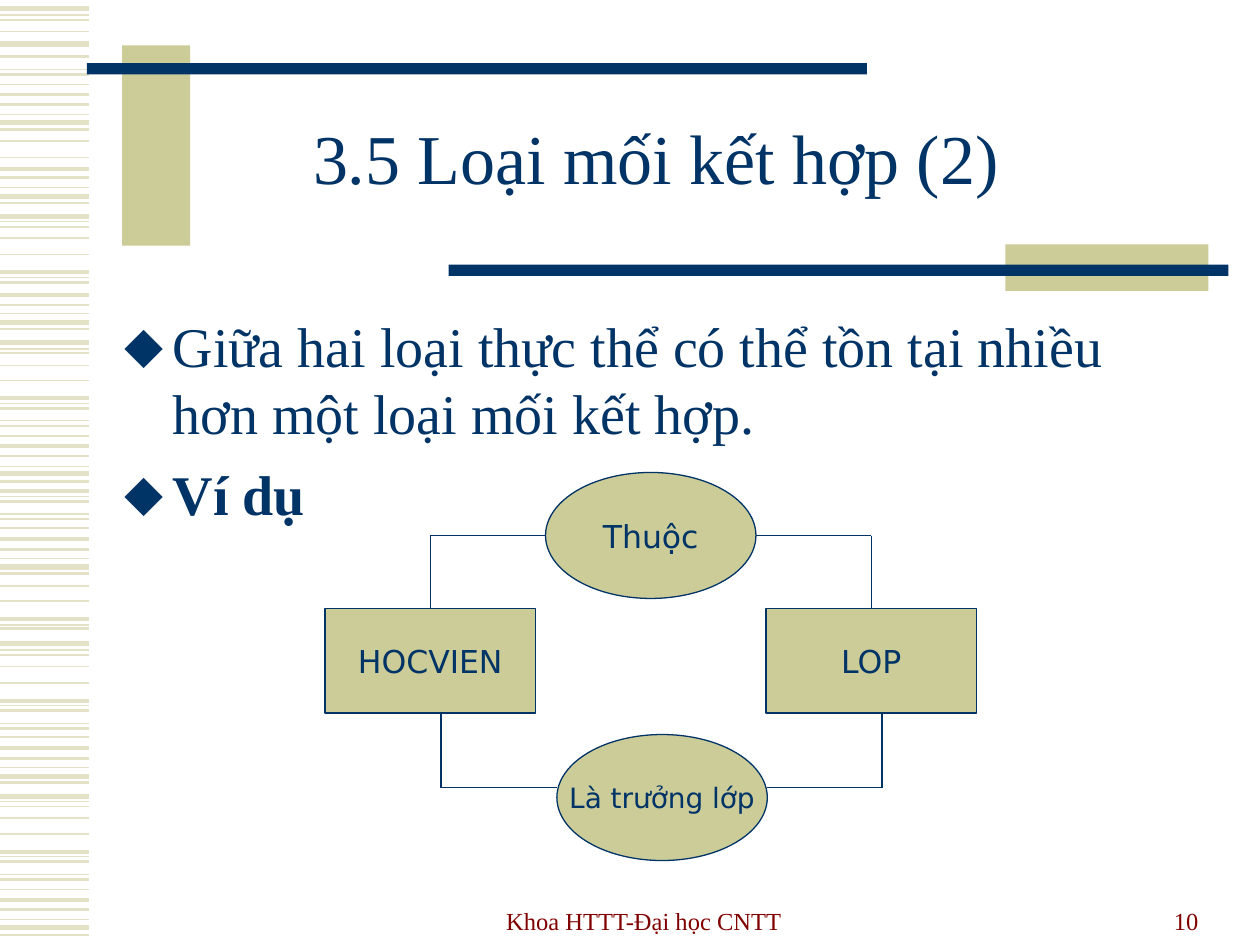
from lxml import etree
from pptx import Presentation
from pptx.dml.color import RGBColor
from pptx.enum import shapes, text
from pptx.oxml import ns
from pptx.util import Inches, Pt

COLORS = {"navy": "003366", "sand": "CCCC99", "stripe": "E3E2C7", "maroon": "800000"}
SERIF, SANS = "Times New Roman", "DejaVu Sans"

TITLE = "3.5 Loại mối kết hợp (2)"
BULLETS = [
    ("Giữa hai loại thực thể có thể tồn tại nhiều hơn một loại mối kết hợp.", False),
    ("Ví dụ", True),
]
FOOTERS = [
    ("Khoa HTTT-Đại học CNTT", (3.42, 6.97, 3.38, 0.5), text.PP_ALIGN.CENTER),
    ("10", (7.21, 6.97, 2.4, 0.5), text.PP_ALIGN.RIGHT),
]
STRIPES = {
    0.75: [0.12, 0.55, 0.91, 1.49, 1.76, 2.2, 2.49, 2.77, 3.2, 3.34, 3.7, 3.94, 4.08,
           4.43, 4.96, 5.16, 5.6, 5.74, 6.09, 6.36, 6.8, 6.94, 7.3],
    1: [0.16, 0.25, 0.67, 1.12, 1.25, 1.8, 1.89, 2.02, 2.8, 2.9, 3.02, 3.46, 4.19,
        4.65, 4.77, 5.2, 5.29, 5.42, 5.85, 6.4, 6.49, 6.62, 7.06],
    1.5: [0.45, 0.59, 0.83, 1.03, 1.41, 1.61, 2.24, 2.42, 2.61, 3.24, 3.38, 3.62, 3.82,
          3.98, 4.12, 4.36, 4.55, 4.99, 5.64, 5.78, 6.02, 6.21, 6.84, 6.98, 7.22, 7.42],
    2.25: [0.75, 1.34, 2.16, 2.34, 3.16, 3.54, 3.9, 4.28, 4.91, 5.56, 5.94, 6.76, 7.14],
    3: [0.07, 0.35, 0.97, 1.56, 1.72, 2.56, 2.72, 3.76, 4.5, 5.11, 6.16, 6.32, 7.36],
}
STRIPE_LENGTH = 0.71
BARS = [
    ((0.97, 0.36, 0.54, 1.59), "sand"),
    ((0.69, 0.5, 6.19, 0.09), "navy"),
    ((7.98, 1.94, 1.61, 0.37), "sand"),
    ((3.56, 2.1, 6.19, 0.09), "navy"),
]
NODE_WIDTH, ENTITY_HEIGHT, RELATION_HEIGHT = 1.67, 0.83, 1
ENTITY_TOP = 4.83
ENTITIES = [("HOCVIEN", 2.58), ("LOP", 6.08)]
UPPER = ("Thuộc", 4.33, 3.75, 18)
LOWER = ("Là trưởng lớp", 4.42, 5.83, 16)
UPPER_LINE, LOWER_LINE = 4.25, 6.25
LOWER_ENDS = (3.5, 7)


def rgb(name):
    return RGBColor.from_string(COLORS[name])


def apply_format(target, values):
    for name, value in values.items():
        setattr(target, name, value)


def style_text(paragraph, content, size, font, color, bold=False, **layout):
    run = paragraph.add_run()
    run.text = content
    apply_format(run.font, {"size": Pt(size), "name": font, "bold": bold})
    run.font.color.rgb = rgb(color)
    apply_format(paragraph, layout)


def place(shape, box):
    apply_format(shape, dict(zip(("left", "top", "width", "height"), map(Inches, box))))


def add_line(slide, start, end, color="navy", width=0.75):
    line = slide.shapes.add_connector(
        shapes.MSO_CONNECTOR.STRAIGHT, *map(Inches, (*start, *end)))
    line.line.color.rgb = rgb(color)
    line.line.width = Pt(width)
    etree.SubElement(line._element.spPr, ns.qn("a:effectLst"))
    return line


def add_block(slide, kind, box, color):
    shape = slide.shapes.add_shape(kind, *map(Inches, box))
    shape.shadow.inherit = False
    shape.fill.solid()
    shape.fill.fore_color.rgb = rgb(color)
    shape.line.fill.background()
    return shape


def add_node(slide, kind, label, box, size=18):
    shape = add_block(slide, kind, box, "sand")
    shape.line.color.rgb = rgb("navy")
    shape.line.width = Pt(0.75)
    apply_format(shape.text_frame, {
        "word_wrap": False, "vertical_anchor": text.MSO_ANCHOR.MIDDLE})
    style_text(shape.text_frame.paragraphs[0], label, size, SANS, "navy",
               alignment=text.PP_ALIGN.CENTER)
    return shape


def add_bullet(paragraph):
    properties = paragraph._p.get_or_add_pPr()
    properties.set("marL", str(Inches(0.38)))
    properties.set("indent", str(-Inches(0.38)))
    color = etree.SubElement(properties, ns.qn("a:buClr"))
    etree.SubElement(color, ns.qn("a:srgbClr"), val=COLORS["navy"])
    etree.SubElement(properties, ns.qn("a:buChar"), char="⬥")


def add_decoration(slide):
    for width, heights in STRIPES.items():
        for y in heights:
            add_line(slide, (0, y), (STRIPE_LENGTH, y), "stripe", width)
    for box, color in BARS:
        add_block(slide, shapes.MSO_SHAPE.RECTANGLE, box, color)


def add_content(slide):
    title, body = slide.shapes.title, slide.placeholders[1]
    place(title, (1.89, 0.67, 6.63, 1.25))
    place(body, (0.89, 2.42, 8.7, 4.24))
    for placeholder, anchor in ((title, text.MSO_ANCHOR.MIDDLE), (body, text.MSO_ANCHOR.TOP)):
        apply_format(placeholder.text_frame, {
            "auto_size": text.MSO_AUTO_SIZE.NONE, "word_wrap": True,
            "vertical_anchor": anchor})
    style_text(title.text_frame.paragraphs[0], TITLE, 40, SERIF, "navy",
               alignment=text.PP_ALIGN.CENTER, line_spacing=0.85)
    for index, (content, bold) in enumerate(BULLETS):
        frame = body.text_frame
        paragraph = frame.add_paragraph() if index else frame.paragraphs[0]
        style_text(paragraph, content, 32, SERIF, "navy", bold, space_before=Pt(8))
        add_bullet(paragraph)
    for content, box, alignment in FOOTERS:
        frame = slide.shapes.add_textbox(*map(Inches, box)).text_frame
        apply_format(frame, {"word_wrap": True, "vertical_anchor": text.MSO_ANCHOR.BOTTOM})
        style_text(frame.paragraphs[0], content, 14, SERIF, "maroon", alignment=alignment)


def add_diagram(slide):
    entities = [
        add_node(slide, shapes.MSO_SHAPE.RECTANGLE, label,
                 (left, ENTITY_TOP, NODE_WIDTH, ENTITY_HEIGHT))
        for label, left in ENTITIES]
    for label, left, top, size in (UPPER, LOWER):
        add_node(slide, shapes.MSO_SHAPE.OVAL, label,
                 (left, top, NODE_WIDTH, RELATION_HEIGHT), size)
    upper_ends = [left + NODE_WIDTH / 2 for _, left in ENTITIES]
    for entity, x in zip(entities, upper_ends):
        add_line(slide, (x, UPPER_LINE), (x, ENTITY_TOP)).end_connect(entity, 0)
    for x in LOWER_ENDS:
        add_line(slide, (x, ENTITY_TOP + ENTITY_HEIGHT), (x, LOWER_LINE))
    for relation, y, ends in ((UPPER, UPPER_LINE, upper_ends), (LOWER, LOWER_LINE, LOWER_ENDS)):
        left = relation[1]
        add_line(slide, (ends[0], y), (left, y))
        add_line(slide, (left + NODE_WIDTH, y), (ends[1], y))


def main():
    presentation = Presentation()
    apply_format(presentation, {"slide_width": Inches(10), "slide_height": Inches(7.5)})
    slide = presentation.slides.add_slide(presentation.slide_layouts[1])
    add_decoration(slide)
    add_content(slide)
    add_diagram(slide)
    presentation.save("out.pptx")


if __name__ == "__main__":
    main()
